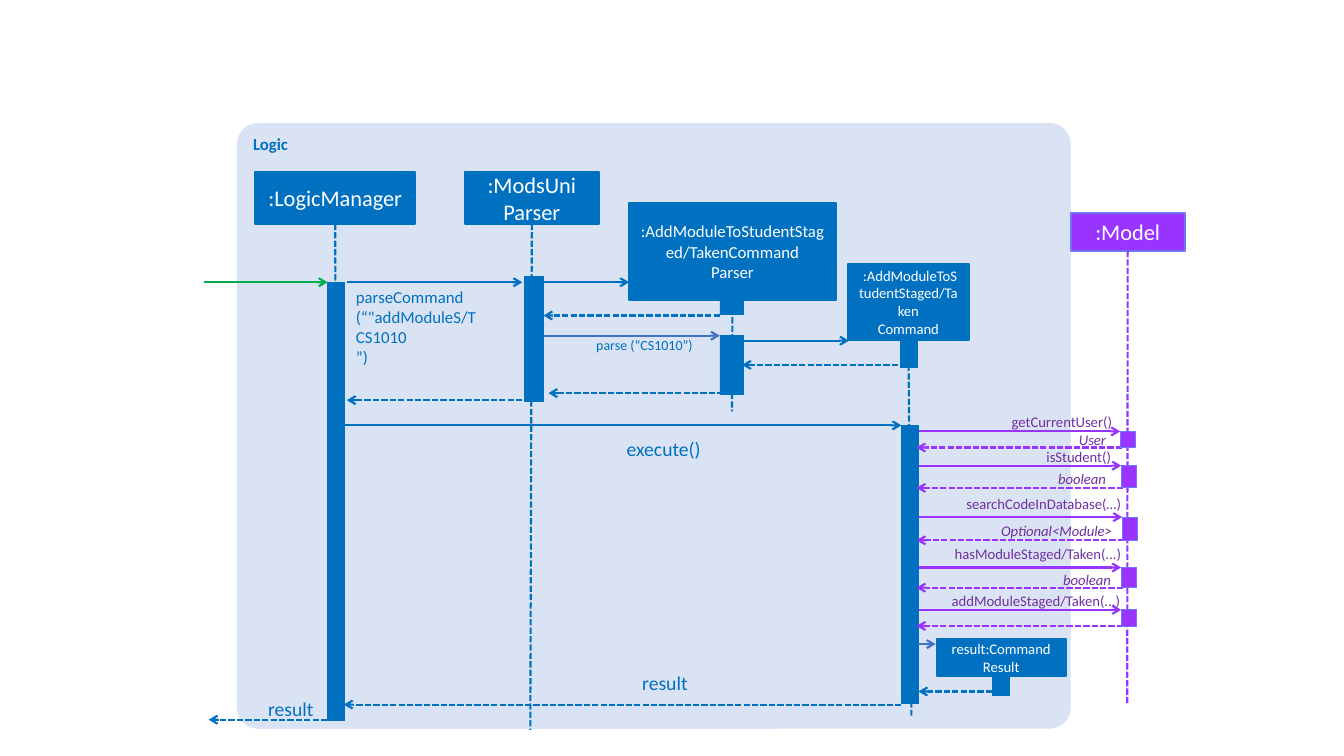
from copy import deepcopy
from dataclasses import dataclass

from pptx import Presentation
from pptx.dml.color import RGBColor
from pptx.enum.dml import MSO_LINE
from pptx.enum.shapes import MSO_CONNECTOR, MSO_SHAPE
from pptx.enum.text import MSO_ANCHOR, PP_ALIGN
from pptx.oxml.ns import qn
from pptx.util import Inches, Pt
from lxml.etree import SubElement


@dataclass(frozen=True)
class Theme:
    font: str = "Calibri"
    panel: str = "DAE3F3"
    logic: str = "0070C0"
    model: str = "9933FF"
    model_edge: str = "6F75F7"
    model_text: str = "7030A0"
    entry: str = "00B050"
    accent: str = "4472C4"
    white: str = "FFFFFF"
    title: float = 16
    message: float = 14
    body: float = 12
    small: float = 10.5
    tiny: float = 10
    thick: float = 1.5
    thin: float = 0.5


THEME = Theme()
TOP, BOTTOM = 0, 2

# The slide is a grid of square cells, ten to the inch
COLUMNS, ROWS = 133.3, 75
LABEL_HEIGHT = 1.8

# call, label right, label row, line row; reply, label right, label row, line row; bar column
MODEL_CALLS = [
    ("getCurrentUser()", 110.3, 41, 42.8, "User", 109.7, 42.7, 44.4, 111.1),
    ("isStudent()", 110.2, 44.4, 46.2, "boolean", 109.7, 46.6, 48.4, 111.2),
    ("searchCodeInDatabase(…)", 111.2, 49.1, 51.3, "Optional<Module>", 110.3, 51.8, 53.6, 111.3),
    ("hasModuleStaged/Taken(...)", 111.2, 54.1, 56.3, "boolean", 110.2, 56.6, 58.3, 111.2),
    ("addModuleStaged/Taken(...)", 111.1, 58.7, 60.5, "", 0, 0, 62.1, 111.2),
]


def grid(cells):
    return Inches(cells / 10)


def color(value):
    return RGBColor.from_string(value)


def write(frame, text, size, ink, align=PP_ALIGN.LEFT, anchor=MSO_ANCHOR.TOP,
          bold=False, italic=False):
    """Fill a text frame; a line feed starts a paragraph, a vertical tab breaks a line."""
    frame.word_wrap = True
    frame.vertical_anchor = anchor
    frame.text = text
    for paragraph in frame.paragraphs:
        paragraph.alignment = align
        for run in paragraph.runs:
            font = run.font
            font.name, font.size = THEME.font, Pt(size)
            font.bold, font.italic = bold, italic
            font.color.rgb = color(ink)
        for line_break in paragraph._p.findall(qn("a:br")):
            line_break.append(deepcopy(paragraph.runs[0]._r.rPr))


def block(slide, left, top, width, height, fill, edge=None, weight=THEME.thin,
          kind=MSO_SHAPE.RECTANGLE):
    shape = slide.shapes.add_shape(kind, *map(grid, (left, top, width, height)))
    shape.shadow.inherit = False
    shape.fill.solid()
    shape.fill.fore_color.rgb = color(fill)
    if edge:
        shape.line.color.rgb = color(edge)
        shape.line.width = Pt(weight)
    else:
        shape.line.fill.background()
    return shape


def participant(slide, text, left, top, width, height, size,
                fill=THEME.logic, edge=THEME.logic):
    shape = block(slide, left, top, width, height, fill, edge, THEME.thick)
    write(shape.text_frame, text, size, THEME.white, PP_ALIGN.CENTER, MSO_ANCHOR.MIDDLE)
    return shape


def activation(slide, left, top, width, bottom, fill=THEME.logic, edge=THEME.logic):
    return block(slide, left, top, width, bottom - top, fill, edge)


def line(slide, start, end, ink=THEME.logic, dashed=False, arrow=True, source=None):
    connector = slide.shapes.add_connector(MSO_CONNECTOR.STRAIGHT, *map(grid, start + end))
    if source:
        connector.begin_connect(source, BOTTOM)
    connector.line.color.rgb = color(ink)
    connector.line.width = Pt(THEME.thick)
    if dashed:
        connector.line.dash_style = MSO_LINE.SQUARE_DOT
    if arrow:
        SubElement(connector.line._get_or_add_ln(), qn("a:tailEnd"), type="arrow")
    SubElement(connector._element.spPr, qn("a:effectLst"))


def lifeline(slide, head, column, top, bottom, ink=THEME.logic):
    line(slide, (column, top), (column, bottom), ink, dashed=True, arrow=False, source=head)


def message(slide, row, start, end, ink=THEME.logic):
    line(slide, (start, row), (end, row), ink)


def reply(slide, row, start, end, ink=THEME.logic, source=None):
    line(slide, (start, row), (end, row), ink, dashed=True, source=source)


def label(slide, text, left, top, width, height, size, ink=THEME.logic,
          align=PP_ALIGN.RIGHT, italic=False):
    box = slide.shapes.add_textbox(*map(grid, (left, top, width, height)))
    frame = box.text_frame
    frame.margin_left = frame.margin_right = frame.margin_top = frame.margin_bottom = 0
    write(frame, text, size, ink, align, italic=italic)


def draw_participants(slide):
    manager = participant(slide, ":LogicManager", 25.3, 17.1, 15.9, 5.1, THEME.title)
    parser = participant(slide, ":ModsUni\vParser", 46.1, 17.1, 13.3, 5.1, THEME.title)
    command_parser = participant(slide, ":AddModuleToStudentStaged/TakenCommand\nParser",
                                 62.4, 20.1, 20.5, 9.7, THEME.body)
    command = participant(slide, " :AddModuleToStudentStaged/Taken\nCommand",
                          84.1, 26.2, 12, 7.5, THEME.small)
    model = participant(slide, ":Model", 106.2, 21.1, 11.3, 3.8, THEME.title,
                        THEME.model, THEME.model_edge)
    participant(slide, "result:Command Result", 92.9, 63.4, 12.8, 3.7, THEME.small)

    lifeline(slide, manager, 33.3, 22.2, 50.8)
    lifeline(slide, parser, 52.6, 22.2, 72.4)
    lifeline(slide, command_parser, 72.6, 29.8, 40.8)
    lifeline(slide, command, 90.4, 33.7, 71)
    lifeline(slide, model, 111.8, 24.9, 69.9, THEME.model)


def draw_logic_messages(slide):
    # Activation bars
    manager_bar = activation(slide, 32.5, 28, 1.7, 71.5)
    for bar in [(52, 27.4, 1.9, 39.8), (71.4, 29.9, 2.3, 31.2), (71.4, 33.3, 2.3, 39.1),
                (89.3, 33.8, 1.7, 36.5), (89.4, 42.2, 1.7, 69.8), (98.4, 67.1, 1.7, 69)]:
        activation(slide, *bar)

    # Calls
    message(slide, 28, 20.2, 32.5, THEME.entry)
    for row, start, end in [(28, 34.4, 51.8), (28, 53.4, 62.4),
                            (33.8, 73.1, 84.2), (42.2, 34.2, 89.4)]:
        message(slide, row, start, end)
    message(slide, 33.3, 54, 71.4, THEME.accent)
    message(slide, 63.9, 91, 92.8, THEME.accent)

    # Replies
    for row, start, end in [(31.3, 71.4, 53.9), (36.2, 89.9, 73.6), (39, 72.6, 54.4),
                            (39.7, 51.8, 34.4), (68.6, 98.4, 91.1), (69.9, 89.4, 34.1)]:
        reply(slide, row, start, end)
    reply(slide, 71.4, 33.3, 20.7, source=None)

    # Message labels
    label(slide, "parseCommand\n(“\"addModuleS/T \vCS1010\n”)", 35.3, 28.4, 15.6, 8.1,
          THEME.body, align=PP_ALIGN.LEFT)
    label(slide, "parse (“CS1010”)", 53.1, 33.4, 15.6, 1.7, THEME.tiny)
    label(slide, "execute()", 60.1, 43.3, 9.4, 2.4, THEME.message)
    label(slide, "result", 61.4, 66.6, 6.8, 2.4, THEME.message)
    label(slide, "result", 22.8, 69.1, 8.3, 2.4, THEME.message)


def draw_model_calls(slide):
    width = 21.6
    for (call, call_right, call_top, call_row,
         answer, answer_right, answer_top, answer_row, bar) in MODEL_CALLS:
        message(slide, call_row, 91.1, bar, THEME.model)
        reply(slide, answer_row, bar + 0.2, 90.9, THEME.model)
        label(slide, call, call_right - width, call_top, width, LABEL_HEIGHT,
              THEME.small, THEME.model_text)
        if answer:
            label(slide, answer, answer_right - width, answer_top, width, LABEL_HEIGHT,
                  THEME.small, THEME.model_text, italic=True)
        activation(slide, bar, call_row, 1.5, answer_row, THEME.model, THEME.model_edge)


def main():
    presentation = Presentation()
    presentation.slide_width, presentation.slide_height = grid(COLUMNS), grid(ROWS)
    slide = presentation.slides.add_slide(presentation.slide_layouts[6])

    # Logic panel
    panel = block(slide, 23.5, 12.2, 82.7, 60.1, THEME.panel, kind=MSO_SHAPE.ROUNDED_RECTANGLE)
    panel.adjustments[0] = 0.035
    write(panel.text_frame, "Logic", THEME.body, THEME.logic, bold=True)

    draw_participants(slide)
    draw_logic_messages(slide)
    draw_model_calls(slide)
    presentation.save("out.pptx")


if __name__ == "__main__":
    main()
